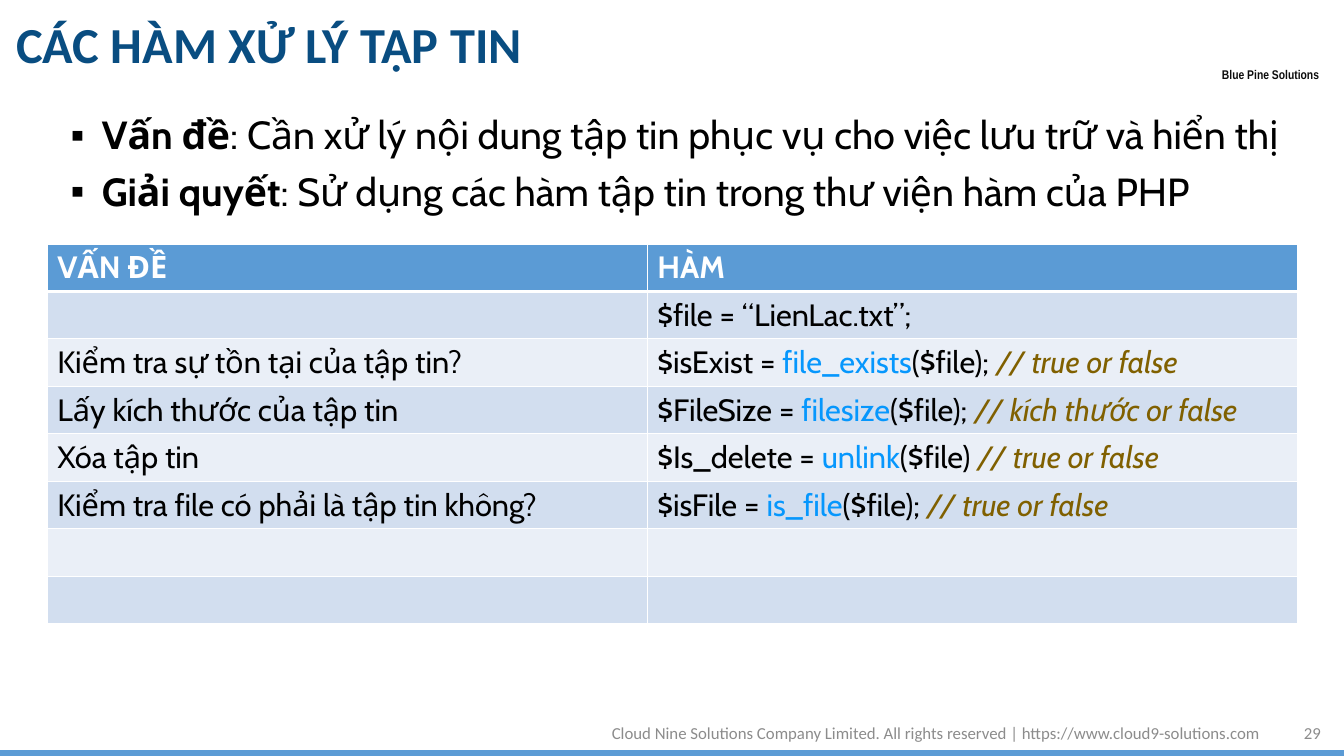
from lxml.etree import SubElement as Sub
from pptx import Presentation
from pptx.dml.color import RGBColor as Rgb
from pptx.enum.shapes import MSO_SHAPE as Kind
from pptx.enum.text import MSO_ANCHOR as Anchor, MSO_AUTO_SIZE as Auto, PP_ALIGN as Align
from pptx.oxml.ns import qn
from pptx.util import Inches, Pt

HUES = {
    "blue": "5B9BD5", "navy": "094D81", "black": "000000", "ink": "0D0D0D",
    "gray": "8C8C8C", "white": "FFFFFF", "dark": "D2DEEF", "light": "EAEFF7",
    "call": "0697FD", "note": "806000",
}
POINTS = [
    ("Vấn đề", ": Cần xử lý nội dung tập tin phục vụ cho việc lưu trữ và hiển thị"),
    ("Giải quyết", ": Sử dụng các hàm tập tin trong thư viện hàm của PHP"),
]
ROWS = [
    ("VẤN ĐỀ", ["HÀM"]),
    ("", ["$file = “LienLac.txt”;"]),
    ("Kiểm tra sự tồn tại của tập tin?",
     ["$isExist = ", "file_exists", "($file); ", "// true or false"]),
    ("Lấy kích thước của tập tin",
     ["$FileSize = ", "filesize", "($file); ", "// kích thước or false"]),
    ("Xóa tập tin",
     ["$Is_delete = ", "unlink", "($file) ", "// true or false"]),
    ("Kiểm tra file có phải là tập tin không?",
     ["$isFile = ", "is_file", "($file); ", "// true or false"]),
    ("", [""]),
    ("", [""]),
]


def hue(name):
    return Rgb.from_string(HUES[name])


class Deck:
    def __init__(self):
        self.show = Presentation()
        self.show.slide_width, self.show.slide_height = Inches(13.33), Inches(7.5)
        self.slide = self.show.slides.add_slide(self.show.slide_layouts[1])
        self.shapes = self.slide.shapes

    def font(self, para, size, color, face="Cabin", bold=False):
        font = para.font
        font.size, font.name, font.bold = Pt(size), face, bold
        font.color.rgb = hue(color)

    def place(self, shape, box):
        shape.left, shape.top, shape.width, shape.height = map(Inches, box)
        shape.text_frame.auto_size = Auto.NONE

    def bar(self, box):
        bar = self.shapes.add_shape(Kind.RECTANGLE, *map(Inches, box))
        bar.shadow.inherit = False
        bar.fill.solid()
        bar.fill.fore_color.rgb = bar.line.color.rgb = hue("blue")
        bar.line.width = Pt(1.25)

    def title(self, text, box):
        title = self.shapes.title
        self.place(title, box)
        title.text_frame.vertical_anchor = Anchor.MIDDLE
        para = title.text_frame.paragraphs[0]
        para.text, para.alignment, para.line_spacing = text, Align.LEFT, 0.9
        self.font(para, 36, "navy", "Calibri", True)

    def list(self, points, box):
        body = self.slide.placeholders[1]
        self.place(body, box)
        frame = body.text_frame
        for i, (head, rest) in enumerate(points):
            para = frame.add_paragraph() if i else frame.paragraphs[0]
            para.alignment, para.line_spacing = Align.JUSTIFY, 0.9
            para.space_before = Pt(10 if i else 0)
            props = para._p.get_or_add_pPr()
            props.set("marL", str(Inches(0.31)))
            props.set("indent", str(Inches(-0.31)))
            Sub(props, qn("a:buFont"), typeface="Arial")
            Sub(props, qn("a:buChar"), char="▪")
            self.font(para, 28, "black")
            run = para.add_run()
            run.text, run.font.bold = head, True
            para.add_run().text = rest

    def label(self, text, box, size, color, face, bold=False, align=Align.RIGHT, pad=True):
        shape = self.shapes.add_textbox(*map(Inches, box))
        frame = shape.text_frame
        frame.word_wrap = pad
        if pad:
            frame.vertical_anchor = Anchor.MIDDLE
        else:
            frame.margin_left = frame.margin_right = 0
            frame.margin_top = frame.margin_bottom = 0
        para = frame.paragraphs[0]
        para.text, para.alignment = text, align
        self.font(para, size, color, face, bold)

    def edges(self, cell, top, base):
        props = cell._tc.get_or_add_tcPr()
        for side, width in (("L", 1), ("R", 1), ("T", top), ("B", base)):
            line = Sub(props, qn("a:ln" + side), w=str(Pt(width)))
            fill = Sub(line, qn("a:solidFill"))
            Sub(fill, qn("a:srgbClr"), val=HUES["white"])

    def cell(self, cell, row, parts):
        self.edges(cell, 3 if row == 1 else 1, 3 if row == 0 else 1)
        cell.fill.solid()
        cell.fill.fore_color.rgb = hue(("light", "dark")[row % 2] if row else "blue")
        para = cell.text_frame.paragraphs[0]
        self.font(para, 22, "black" if row else "white", bold=row == 0)
        for i, part in enumerate(parts):
            if part:
                run = para.add_run()
                run.text = part
                if i in (1, 3):
                    run.font.color.rgb = hue("call" if i == 1 else "note")
                    run.font.italic = i == 3

    def table(self, rows, box, widths):
        table = self.shapes.add_table(len(rows), len(widths), *map(Inches, box)).table
        for col, width in zip(table.columns, widths):
            col.width = Inches(width)
        for i, (task, code) in enumerate(rows):
            self.cell(table.cell(i, 0), i, [task])
            self.cell(table.cell(i, 1), i, code)


def main():
    deck = Deck()
    deck.bar((0, 7.45, 13.33, 0.05))
    deck.label("Blue Pine Solutions", (12.12, 0.66, 1.04, 0.15), 9, "ink",
               "Arial Narrow", True, Align.LEFT, False)
    deck.title("CÁC HÀM XỬ LÝ TẬP TIN", (0.06, 0.07, 11.83, 0.8))
    deck.list(POINTS, (0.6, 1.1, 12.4, 1.12))
    deck.label("29", (12.67, 7.07, 0.53, 0.4), 12, "gray", "Calibri")
    deck.label("Cloud Nine Solutions Company Limited. All rights reserved | "
               "https://www.cloud9-solutions.com",
               (4.72, 7.07, 7.88, 0.4), 12, "gray", "Calibri")
    deck.table(ROWS, (0.47, 2.42, 12.4, 3.77), (5.95, 6.45))
    deck.show.save("out.pptx")


if __name__ == "__main__":
    main()
